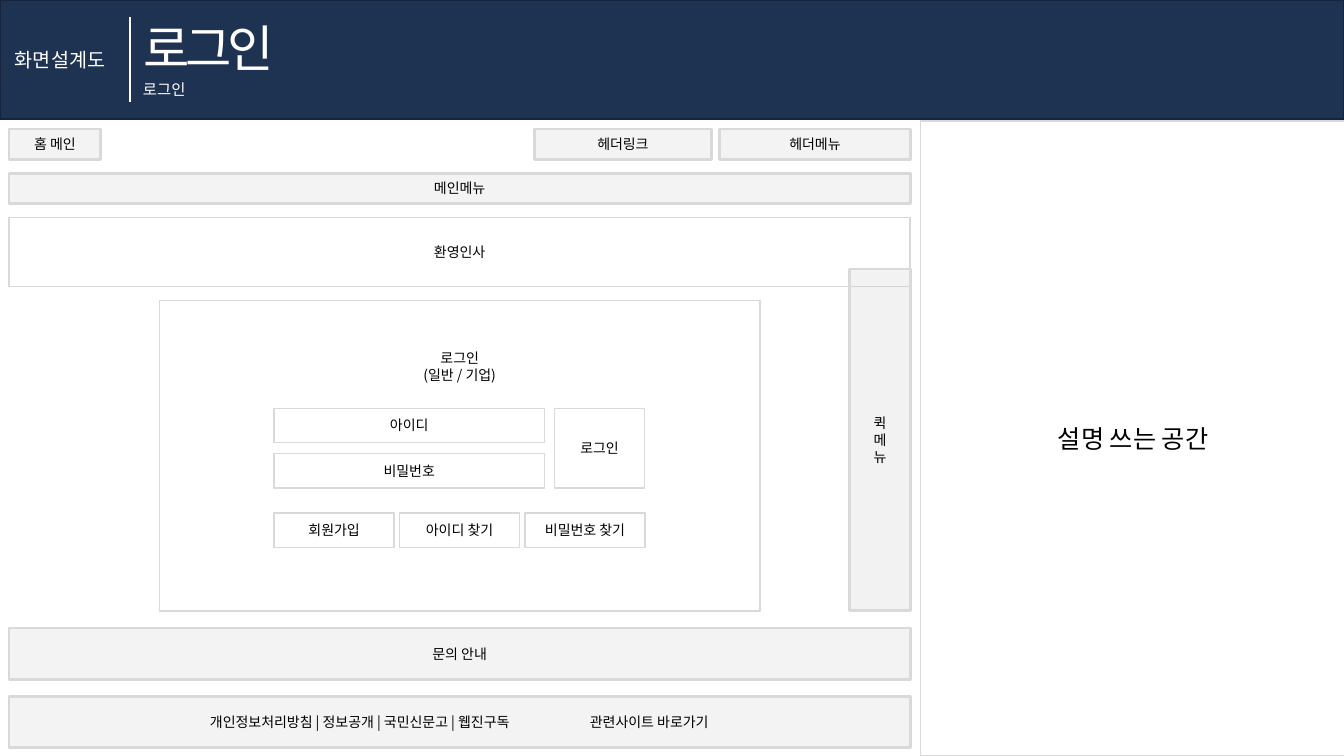
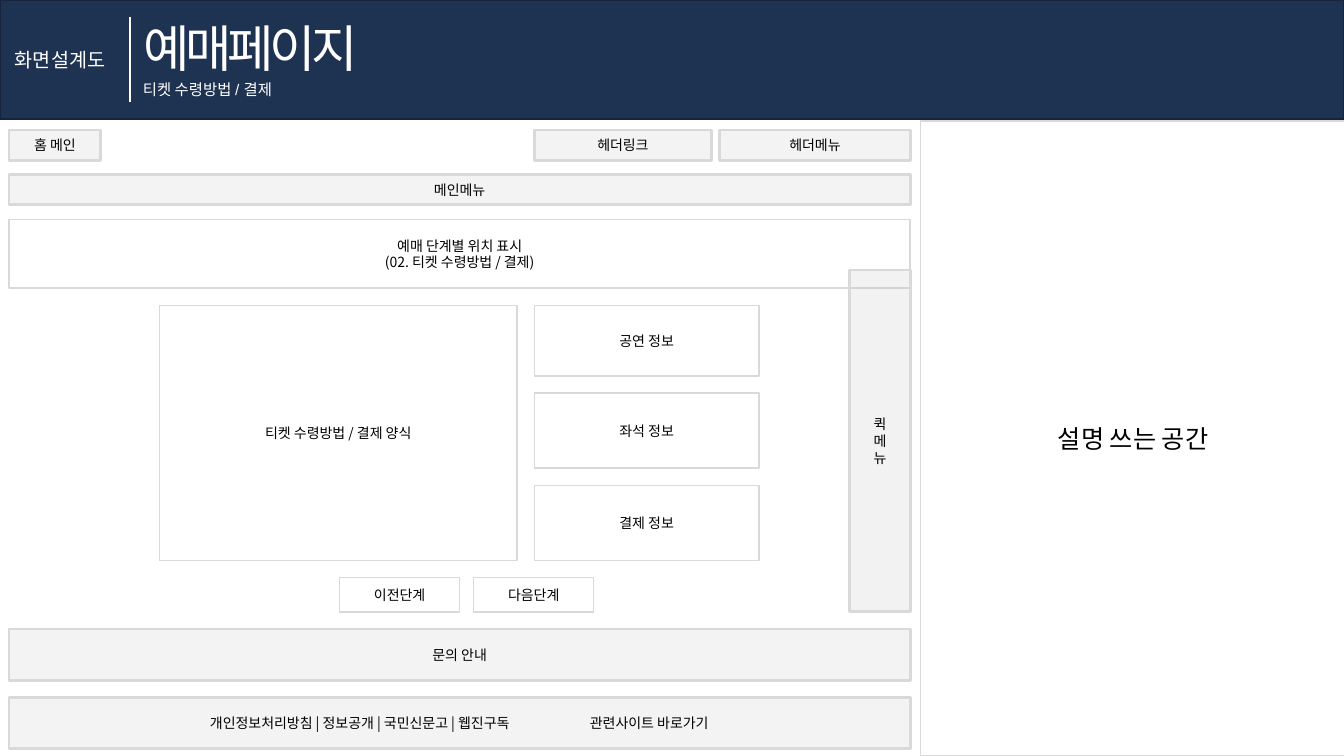
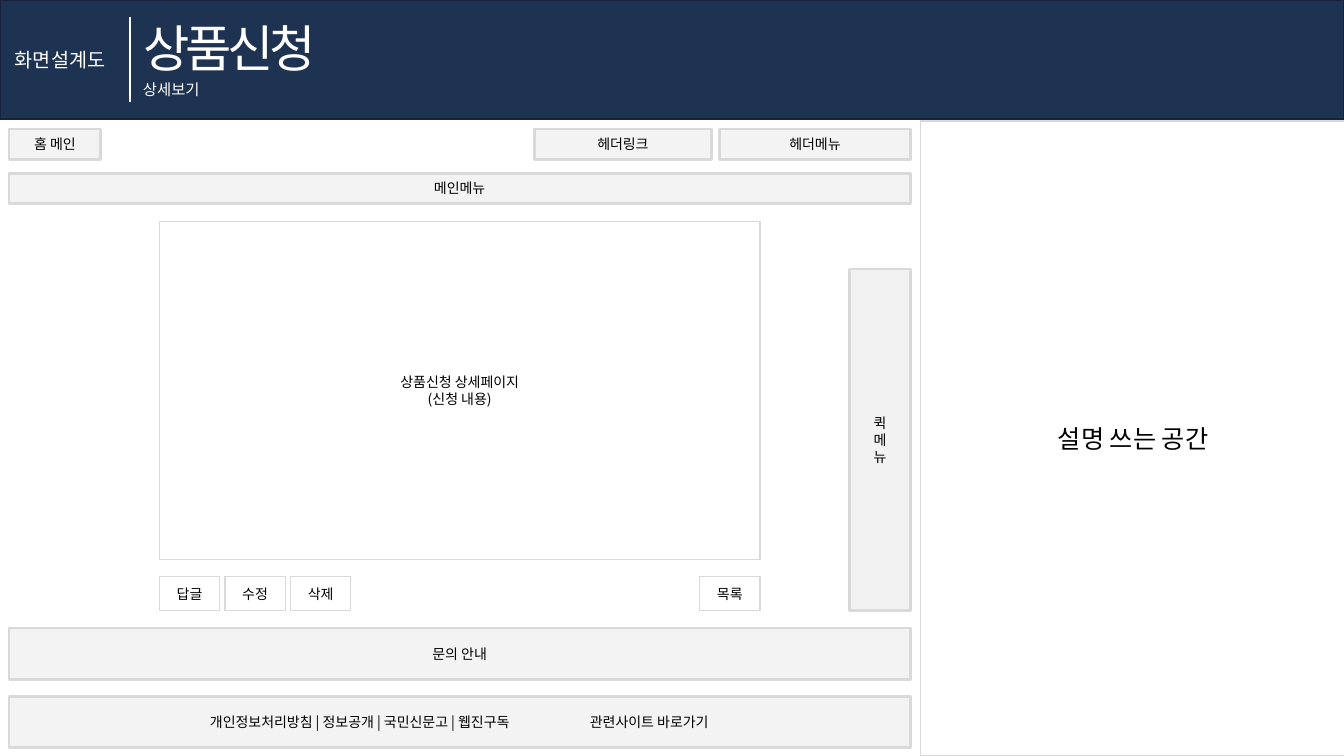
from dataclasses import dataclass
from typing import Any, NamedTuple

from lxml.etree import SubElement
from pptx import Presentation
from pptx.dml.color import RGBColor
from pptx.enum.shapes import MSO_CONNECTOR, MSO_SHAPE
from pptx.enum.text import MSO_ANCHOR, MSO_AUTO_SIZE, PP_ALIGN
from pptx.oxml.ns import qn
from pptx.util import Pt


# Theme: colours, fonts and type sizes
@dataclass(frozen=True)
class Theme:
    navy: str = "1E3252"
    edge: str = "16253D"
    white: str = "FFFFFF"
    black: str = "000000"
    grey: str = "D9D9D9"
    dim: str = "BFBFBF"
    font: str = "Noto Sans CJK KR"
    plain: str = "Arial"
    head: float = 36
    note: float = 18
    label: float = 14
    sub: float = 11
    body: float = 10


THEME = Theme()


class Look(NamedTuple):
    fill: str
    line: str
    width: float
    alpha: int = 100


BAND = Look(THEME.navy, THEME.edge, 1)
CARD = Look(THEME.white, THEME.grey, 1)
BAR = Look(THEME.grey, THEME.grey, 2, 30)
SIDE = Look(THEME.dim, THEME.grey, 2, 20)


class Box(NamedTuple):
    text: str
    x: float
    y: float
    w: float
    h: float
    look: Look = CARD
    size: float = THEME.body
    lift: float = 0  # extra bottom inset that raises the text


class Page(NamedTuple):
    title: str
    sub: str
    wide: float  # title width
    drop: float  # shift of the shared frame
    boxes: list[Box]


# Shared grid
LEFT, FULL = 6.5, 643.7
INNER, SPAN = 113.8, 429.1
ROW = 24.5
FOOT_IN, FOOT_TAB = 143.5, 271.4

FRAME = [
    Box("메인메뉴", LEFT, 123.8, FULL, 21.6, BAR),
    Box("홈 메인", LEFT, 92.2, 65.5, 21.6, BAR),
    Box("헤더메뉴", 514.1, 92.2, 136.1, 21.6, BAR),
    Box("헤더링크", 381.6, 92.2, 126.7, 21.6, BAR),
    Box("문의 안내", LEFT, 448.6, FULL, 36.7, BAR),
]
FOOT = Box("개인정보처리방침 | 정보공개 | 국민신문고 | 웹진구독\t관련사이트 바로가기",
           LEFT, 497.5, FULL, 36.7, BAR)
QUICK = Box("퀵\n메\n뉴", 607, 192.2, 43.2, 244, SIDE)
NOTE = Box("설명 쓰는 공간", 657.4, 86.4, 303.8, 453.6, CARD, THEME.note)


def line_up(names: list[str], x: float, y: float, w: float, step: float) -> list[Box]:
    """A row of equal buttons."""
    return [Box(name, x + i * step, y, w, ROW) for i, name in enumerate(names)]


def stack(items: list[tuple[str, float]], x: float, y: float, w: float, gap: float) -> list[Box]:
    """A column of boxes with equal gaps."""
    boxes = []
    for name, h in items:
        boxes.append(Box(name, x, y, w, h))
        y += h + gap
    return boxes


PAGES = [
    Page("로그인", "로그인", 114.5, 0, [
        Box("환영인사", LEFT, 155.5, FULL, 49),
        Box("로그인\v(일반 / 기업)", INNER, 214.6, SPAN, 221.8, lift=131),
        *stack([("아이디", ROW), ("비밀번호", ROW)], 195.8, 291.6, 193, 7.9),
        Box("로그인", 396, 291.6, 64.5, 56.9),
        *line_up(["회원가입", "아이디 찾기", "비밀번호 찾기"], 195.8, 366.5, 85.7, 89.6),
    ]),
    Page("예매페이지", "티켓 수령방법 / 결제", 181.4, 0.72, [
        Box("예매 단계별 위치 표시\n(02. 티켓 수령방법 / 결제)", LEFT, 156.8, FULL, 49),
        Box("티켓 수령방법 / 결제 양식", INNER, 218.2, 255.6, 182.2),
        *stack([("공연 정보", 50.4), ("좌석 정보", 53.6), ("결제 정보", 53.6)],
               381.6, 218.2, 160.6, 12.2),
        *line_up(["이전단계", "다음단계"], 242.6, 412.6, 85.7, 95.8),
    ]),
    Page("상품신청", "상세보기", 147.6, 0, [
        Box("상품신청 상세페이지\n(신청 내용)", INNER, 158.4, SPAN, 241.2),
        *line_up(["답글", "수정", "삭제"], INNER, 411.8, 43.2, 46.8),
        *line_up(["목록"], 499.7, 411.8, 43.2, 0),
    ]),
]


# Drawing helpers
def put(item: Any, values: dict[str, Any]) -> None:
    for key, value in values.items():
        setattr(item, key, value)


def write(shape: Any, text: str, size: float, ink: str, align: Any,
          face: str = THEME.font, space: int = 0) -> None:
    frame = shape.text_frame
    frame.text = text
    put(frame, {"vertical_anchor": MSO_ANCHOR.MIDDLE, "auto_size": MSO_AUTO_SIZE.NONE})
    for para in frame.paragraphs:
        para.alignment = align
        for run in para.runs:
            put(run.font, {"name": face, "size": Pt(size)})
            run.font.color.rgb = RGBColor.from_string(ink)
            props = run.font._element
            SubElement(props, qn("a:ea")).set("typeface", THEME.font)
            if space:
                props.set("spc", str(space))


def draw(slide: Any, box: Box, drop: float = 0) -> Any:
    shape = slide.shapes.add_shape(
        MSO_SHAPE.RECTANGLE, Pt(box.x), Pt(box.y + drop), Pt(box.w), Pt(box.h))
    shape.shadow.inherit = False
    look = box.look
    shape.fill.solid()
    shape.fill.fore_color.rgb = RGBColor.from_string(look.fill)
    if look.alpha < 100:
        tint = shape.element.spPr.find(qn("a:solidFill"))[0]
        SubElement(tint, qn("a:alpha")).set("val", str(look.alpha * 1000))
    shape.line.color.rgb = RGBColor.from_string(look.line)
    shape.line.width = Pt(look.width)
    if box.text:
        write(shape, box.text, box.size, THEME.black, PP_ALIGN.CENTER)
    if box.lift:
        shape.text_frame.margin_bottom = Pt(box.lift)
    return shape


def draw_foot(slide: Any, drop: float) -> None:
    shape = draw(slide, FOOT, drop)
    shape.text_frame.margin_left = Pt(FOOT_IN)
    para = shape.text_frame.paragraphs[0]
    para.alignment = PP_ALIGN.LEFT
    tabs = SubElement(para._p.get_or_add_pPr(), qn("a:tabLst"))
    stop = SubElement(tabs, qn("a:tab"))
    stop.set("pos", str(Pt(FOOT_TAB)))
    stop.set("algn", "l")


def draw_head(slide: Any, page: Page) -> None:
    draw(slide, Box("", 0, 0, 960, 85, BAND))
    title = slide.shapes.title
    slide.shapes._spTree.append(title.element)  # bring in front of the band
    put(title, {"left": Pt(95), "top": Pt(8), "width": Pt(page.wide), "height": Pt(51)})
    write(title, page.title, THEME.head, THEME.white, PP_ALIGN.LEFT, space=-300)
    title.text_frame.word_wrap = False

    for text, x, y, w, h, size, face in (
        ("화면설계도", 3.6, 30.2, 85, 24.5, THEME.label, THEME.font),
        (page.sub, 95, 53.3, 115.2, 20.9, THEME.sub, THEME.plain),
    ):
        area = slide.shapes.add_textbox(Pt(x), Pt(y), Pt(w), Pt(h))
        write(area, text, size, THEME.white, PP_ALIGN.LEFT, face)
        area.text_frame.word_wrap = True

    rule = slide.shapes.add_connector(
        MSO_CONNECTOR.STRAIGHT, Pt(93), Pt(12.2), Pt(93), Pt(72.7))
    rule.line.color.rgb = RGBColor.from_string(THEME.white)
    rule.line.width = Pt(1.5)
    SubElement(rule.element.spPr, qn("a:effectLst"))


def main() -> None:
    deck = Presentation()
    put(deck, {"slide_width": Pt(960), "slide_height": Pt(540)})
    for page in PAGES:
        slide = deck.slides.add_slide(deck.slide_layouts[5])
        draw_head(slide, page)
        draw(slide, NOTE)
        for box in FRAME:
            draw(slide, box, page.drop)
        draw_foot(slide, page.drop)
        for box in page.boxes:
            draw(slide, box)
        draw(slide, QUICK, page.drop)
    deck.save("out.pptx")


if __name__ == "__main__":
    main()
